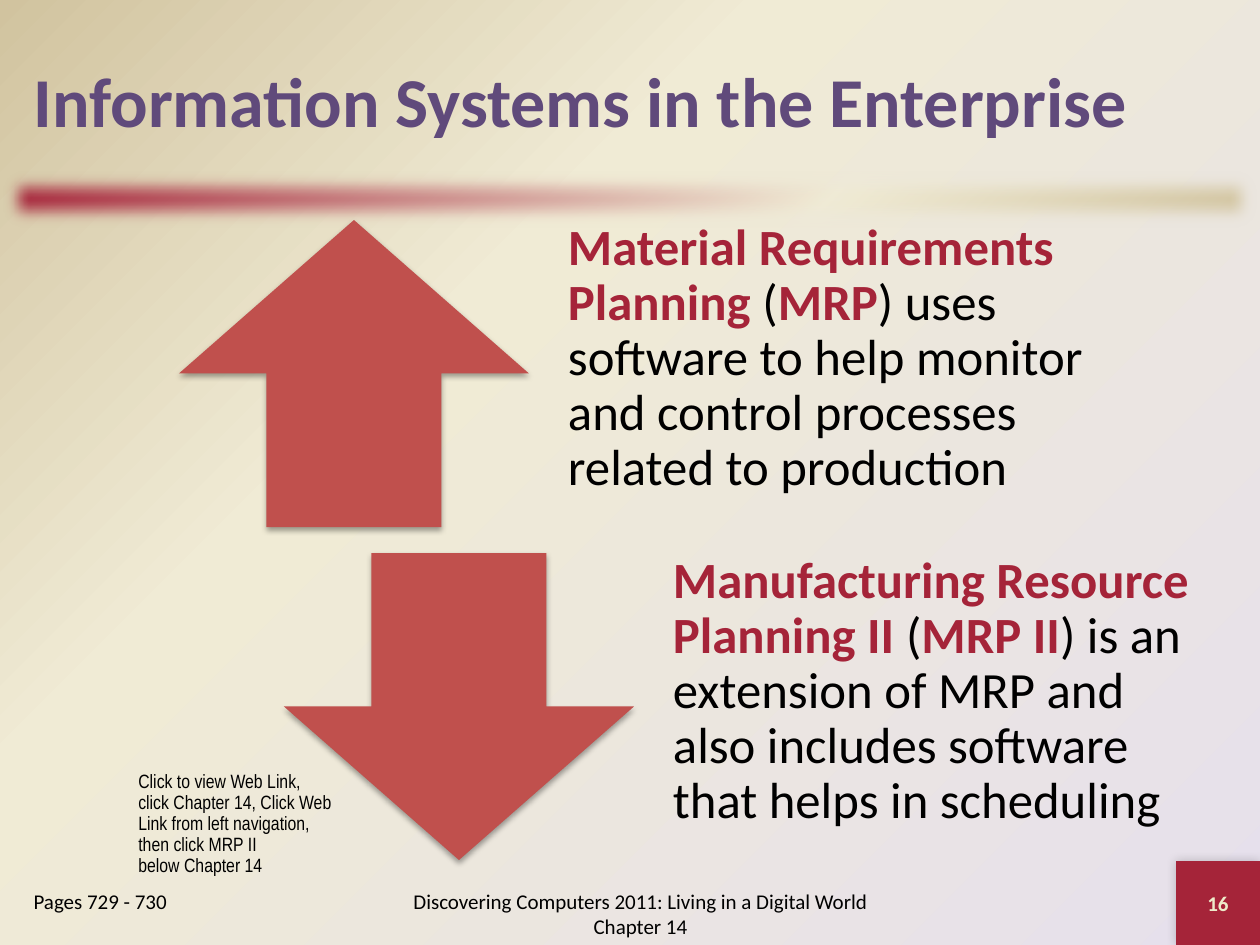
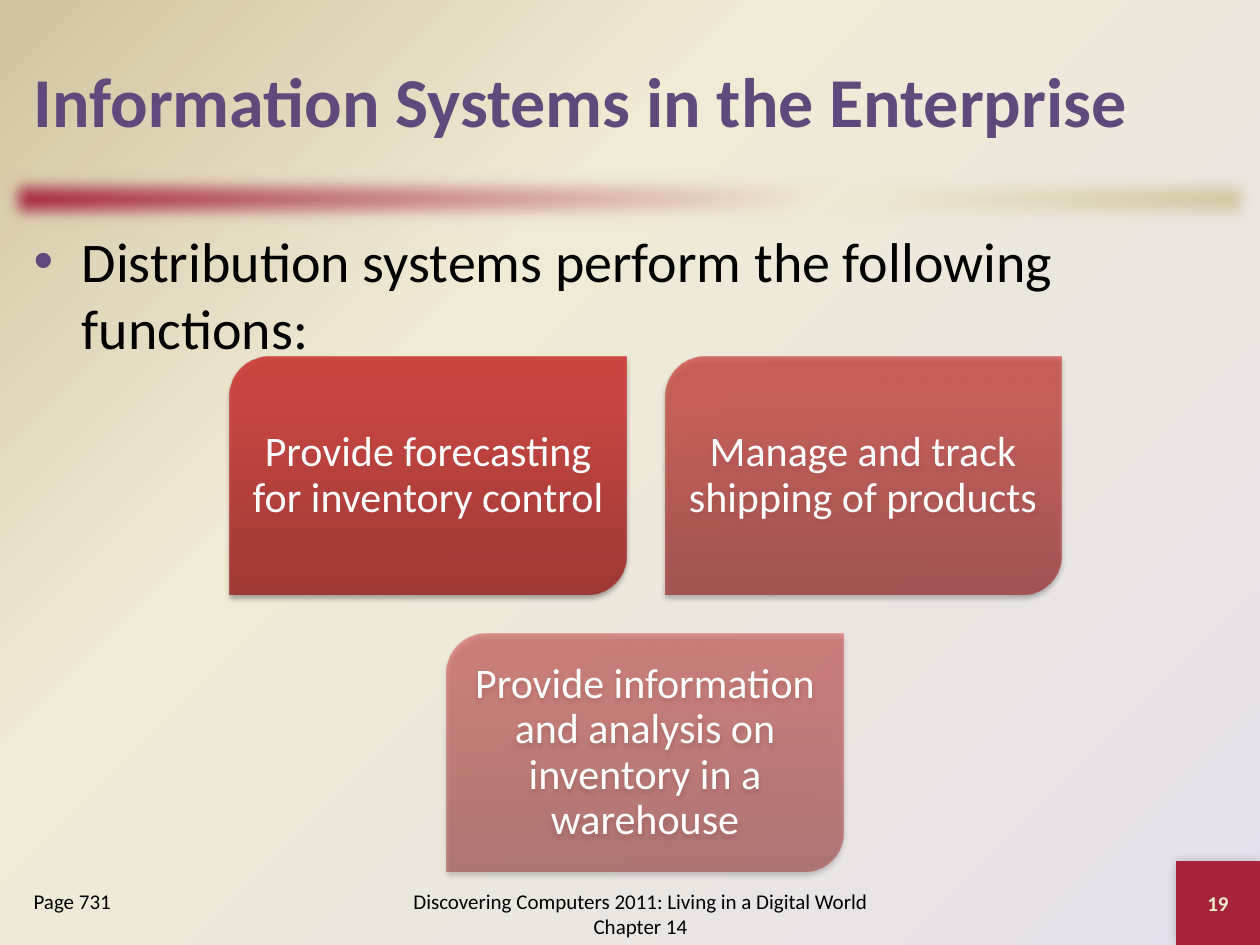
from dataclasses import dataclass

from lxml import etree
from pptx import Presentation
from pptx.dml.color import RGBColor
from pptx.enum.shapes import MSO_SHAPE
from pptx.enum.text import MSO_ANCHOR, MSO_AUTO_SIZE, PP_ALIGN
from pptx.oxml.ns import qn
from pptx.util import Emu, Pt

RECT = MSO_SHAPE.RECTANGLE
CARD = MSO_SHAPE.ROUND_2_DIAG_RECTANGLE
UP, DOWN = MSO_SHAPE.UP_ARROW, MSO_SHAPE.DOWN_ARROW
LEFT, CENTER = PP_ALIGN.LEFT, PP_ALIGN.CENTER
TOP, MIDDLE = MSO_ANCHOR.TOP, MSO_ANCHOR.MIDDLE

PX = 914400 / 126
PT = 12700
SLIDE_W, SLIDE_H = 1260, 945
TITLE_AND_BODY, TITLE_AND_TWO_BODIES = 1, 3


@dataclass(frozen=True)
class Theme:
    font: str = "Calibri"
    note_font: str = "Arial Narrow"
    title: str = "604A7B"
    accent: str = "A52439"
    arrow: str = "C0504D"
    text: str = "000000"
    on_card: str = "FFFFFF"
    on_accent: str = "EEEBCA"
    title_size: int = 40
    list_size: int = 32
    term_size: int = 29
    card_size: int = 24
    footer_size: int = 12
    note_size: int = 11
    background: tuple = ((0, "E6E0EC"), (65, "F0EBD5"), (100, "D1C39F"))
    bar: tuple = ((0, "A52439"), (65, "F0EBD5"), (100, "D1C39F"))
    card: tuple = ((0, "9C2F2D"), (80, "CB3E3A"), (100, "CE3B37"))


THEME = Theme()
SOFT_SHADOW = dict(opacity=35, blur=3.1, distance=1.8, angle=90)
CORNER_SHADOW = dict(opacity=20, blur=6, distance=0, angle=225)


def px(length):
    return Emu(round(length * PX))


def add_xml(parent, tag, **attributes):
    values = {name: str(value) for name, value in attributes.items()}
    return etree.SubElement(parent, qn(tag), values)


def add_color(parent, color, opacity=100):
    node = add_xml(parent, "a:srgbClr", val=color)
    if opacity < 100:
        add_xml(node, "a:alpha", val=opacity * 1000)


def set_gradient(fill, element, stops, angle=None, opacity=100):
    """Fill with the stops along an angle, or round the lower right corner."""
    fill.gradient()
    gradient = element.find(".//" + qn("a:gradFill"))
    gradient.clear()
    stop_list = add_xml(gradient, "a:gsLst")
    for position, color in stops:
        add_color(add_xml(stop_list, "a:gs", pos=position * 1000), color, opacity)
    if angle is None:
        circle = add_xml(gradient, "a:path", path="circle")
        add_xml(circle, "a:fillToRect", l=100000, t=100000)
        add_xml(gradient, "a:tileRect", r=-100000, b=-100000)
    else:
        add_xml(gradient, "a:lin", ang=angle * 60000, scaled=0)


def add_effect(shape, tag, **attributes):
    effects = shape.element.find(".//" + qn("a:effectLst"))
    return add_xml(effects, tag, **attributes)


def add_shadow(shape, opacity, blur, distance, angle):
    shadow = add_effect(shape, "a:outerShdw", blurRad=round(blur * PT),
                        dist=round(distance * PT), dir=angle * 60000,
                        algn="ctr", rotWithShape=0)
    add_color(shadow, "000000", opacity)


def add_plain_shape(slide, kind, box, color=None):
    shape = slide.shapes.add_shape(kind, *map(px, box))
    if color:
        shape.fill.solid()
        shape.fill.fore_color.rgb = RGBColor.from_string(color)
    shape.line.fill.background()
    shape.shadow.inherit = False
    return shape


def write(frame, paragraphs, *, size, color=THEME.text, font=THEME.font,
          bold=False, align=LEFT, anchor=TOP, spacing=1.0, insets=None,
          bullet=None):
    """Write paragraphs: each a string or a list of (text, is_term) runs."""
    frame.word_wrap = True
    frame.auto_size = MSO_AUTO_SIZE.NONE
    frame.vertical_anchor = anchor
    if insets:
        (frame.margin_left, frame.margin_top,
         frame.margin_right, frame.margin_bottom) = map(px, insets)
    for index, content in enumerate(paragraphs):
        paragraph = frame.add_paragraph() if index else frame.paragraphs[0]
        set_bullet(paragraph, bullet)
        paragraph.alignment = align
        paragraph.line_spacing = spacing
        paragraph.space_before = Pt(0)
        runs = [(content, False)] if isinstance(content, str) else content
        for text, is_term in runs:
            for number, line in enumerate(text.split("\n")):
                if number:
                    paragraph.add_line_break()
                run = paragraph.add_run()
                run.text = line
                run.font.name = font
                run.font.size = Pt(size)
                run.font.bold = bold or is_term
                run.font.color.rgb = RGBColor.from_string(
                    THEME.accent if is_term else color)


def set_bullet(paragraph, bullet):
    properties = paragraph._p.get_or_add_pPr()
    indent = px(48) if bullet else 0
    properties.set("marL", str(indent))
    properties.set("indent", str(-indent))
    if bullet:
        add_color(add_xml(properties, "a:buClr"), THEME.title)
        add_xml(properties, "a:buFont", typeface="Arial")
        add_xml(properties, "a:buChar", char=bullet)
    else:
        add_xml(properties, "a:buNone")


def add_text(slide, box, paragraphs, **formatting):
    frame = slide.shapes.add_textbox(*map(px, box)).text_frame
    write(frame, paragraphs, **formatting)


def fill_placeholder(placeholder, box, paragraphs, **formatting):
    (placeholder.left, placeholder.top,
     placeholder.width, placeholder.height) = map(px, box)
    write(placeholder.text_frame, paragraphs, **formatting)


def add_frame(deck, layout, pages, number):
    """Add a slide with its title, bar and footer."""
    slide = deck.slides.add_slide(deck.slide_layouts[layout])
    bar = add_plain_shape(slide, RECT, (0, 168, SLIDE_W, 63))
    set_gradient(bar.fill, bar.element, THEME.bar, angle=45)
    add_effect(bar, "a:softEdge", rad=10 * PT)
    fill_placeholder(slide.shapes.title, (21, 21, 1218, 158),
                     ["Information Systems in the Enterprise"],
                     size=THEME.title_size, color=THEME.title, bold=True,
                     anchor=MIDDLE)
    add_footer(slide, (0, 861, SLIDE_W, 84), pages, number)
    return slide


def add_footer(slide, box, pages, number):
    left, top, width, height = box
    corner = add_plain_shape(slide, RECT,
                             (left + width - height, top, height, height),
                             THEME.accent)
    add_shadow(corner, **CORNER_SHADOW)
    write(corner.text_frame, [number], size=THEME.footer_size,
          color=THEME.on_accent, bold=True, align=CENTER, anchor=MIDDLE)
    add_text(slide, (left + 378, top + 21, 525, 63),
             ["Discovering Computers 2011: Living in a Digital World Chapter 14"],
             size=THEME.footer_size, align=CENTER, anchor=MIDDLE)
    pages_body = list(slide.placeholders)[-1]
    fill_placeholder(pages_body, (left + 21, top + 21, 231, 63), [pages],
                     size=THEME.footer_size)


def add_arrow_row(slide, box, direction, definition):
    left, top, width, height = box
    arrow_w = 350
    text_left = arrow_w + 10
    arrow = add_plain_shape(slide, direction, (left, top, arrow_w, height),
                            THEME.arrow)
    add_shadow(arrow, **SOFT_SHADOW)
    add_text(slide, (left + text_left, top, width - text_left, height),
             [definition], size=THEME.term_size, anchor=MIDDLE, spacing=0.9,
             insets=(29, 0, 29, 29))


def add_cards(slide, box, rows, gap=39):
    """Lay out rows of cards, each row centred in the box."""
    left, top, width, height = box
    card_w = (width - gap) // 2
    card_h = (height - gap) // len(rows)
    opacity = 90
    for row, labels in enumerate(rows):
        row_w = len(labels) * (card_w + gap) - gap
        row_left = left + (width - row_w) // 2
        for column, label in enumerate(labels):
            card = add_plain_shape(slide, CARD,
                                   (row_left + column * (card_w + gap),
                                    top + row * (card_h + gap), card_w, card_h))
            set_gradient(card.fill, card.element, THEME.card, 270, opacity)
            add_shadow(card, **SOFT_SHADOW)
            write(card.text_frame, [label], size=THEME.card_size,
                  color=THEME.on_card, align=CENTER, anchor=MIDDLE,
                  spacing=0.9, insets=(1, 1, 1, 1))
            opacity -= 20


def build_planning_slide(deck):
    slide = add_frame(deck, TITLE_AND_BODY, "Pages 729 - 730", "16")
    definitions = [
        (UP, [("Material Requirements Planning ", True), ("(", False),
              ("MRP", True),
              (") uses software to help monitor and control processes "
               "related to production", False)]),
        (DOWN, [("Manufacturing Resource Planning II ", True), ("(", False),
                ("MRP II", True),
                (") is an extension of MRP and also includes software "
                 "that helps in scheduling", False)]),
    ]
    for row, (direction, definition) in enumerate(definitions):
        add_arrow_row(slide, (179 + row * 105, 220 + row * 333, 954, 307),
                      direction, definition)
    add_text(slide, (126, 766, 262, 117),
             ["Click to view Web Link,\nclick Chapter 14, Click Web\n"
              "Link from left navigation,",
              "then click MRP II", "below Chapter 14"],
             size=THEME.note_size, font=THEME.note_font, spacing=0.9)


def build_distribution_slide(deck):
    slide = add_frame(deck, TITLE_AND_TWO_BODIES, "Page 731", "19")
    fill_placeholder(slide.placeholders[1], (21, 220, 1218, 641),
                     ["Distribution systems perform the following functions:"],
                     size=THEME.list_size, bullet="•")
    add_cards(slide, (230, 357, 831, 515),
              [["Provide forecasting for inventory control",
                "Manage and track shipping of products"],
               ["Provide information and analysis on inventory in a warehouse"]])


def main():
    deck = Presentation()
    deck.slide_width, deck.slide_height = px(SLIDE_W), px(SLIDE_H)
    master = deck.slide_master
    set_gradient(master.background.fill, master.element, THEME.background)
    build_planning_slide(deck)
    build_distribution_slide(deck)
    deck.save("out.pptx")


if __name__ == "__main__":
    main()
